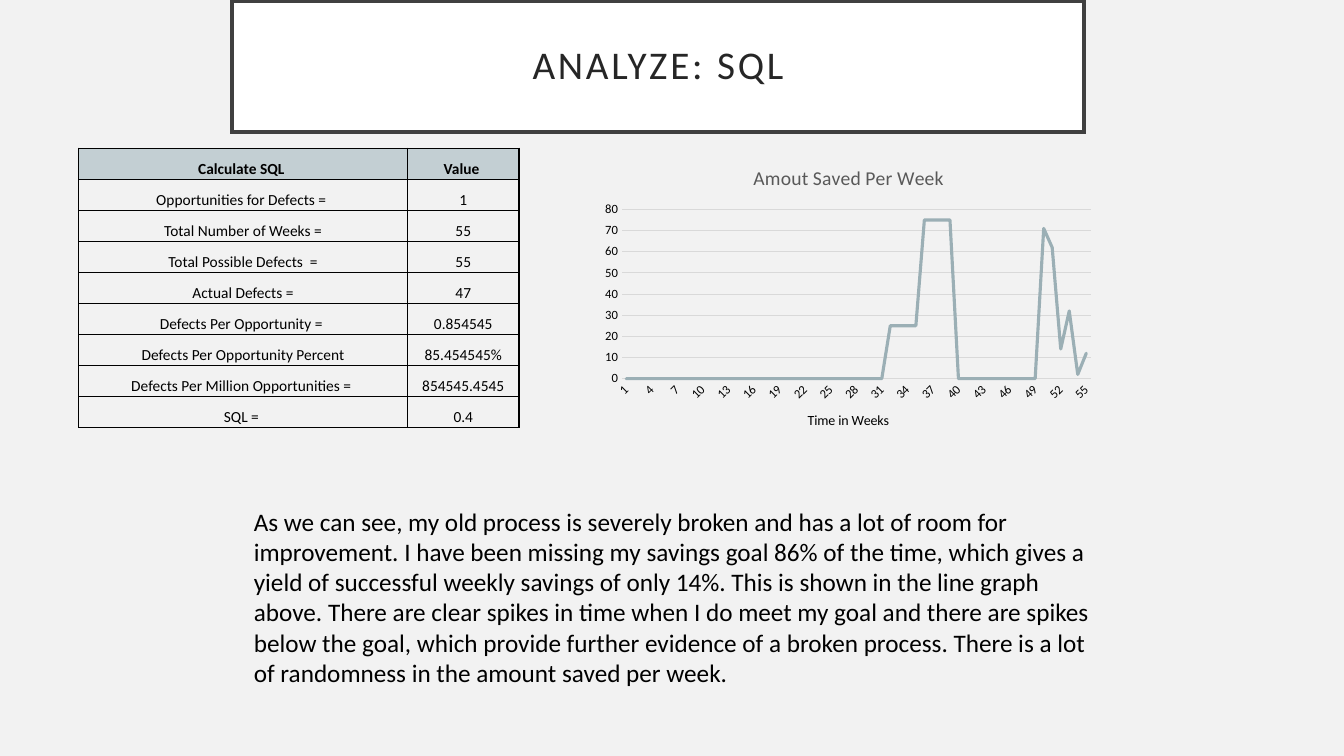
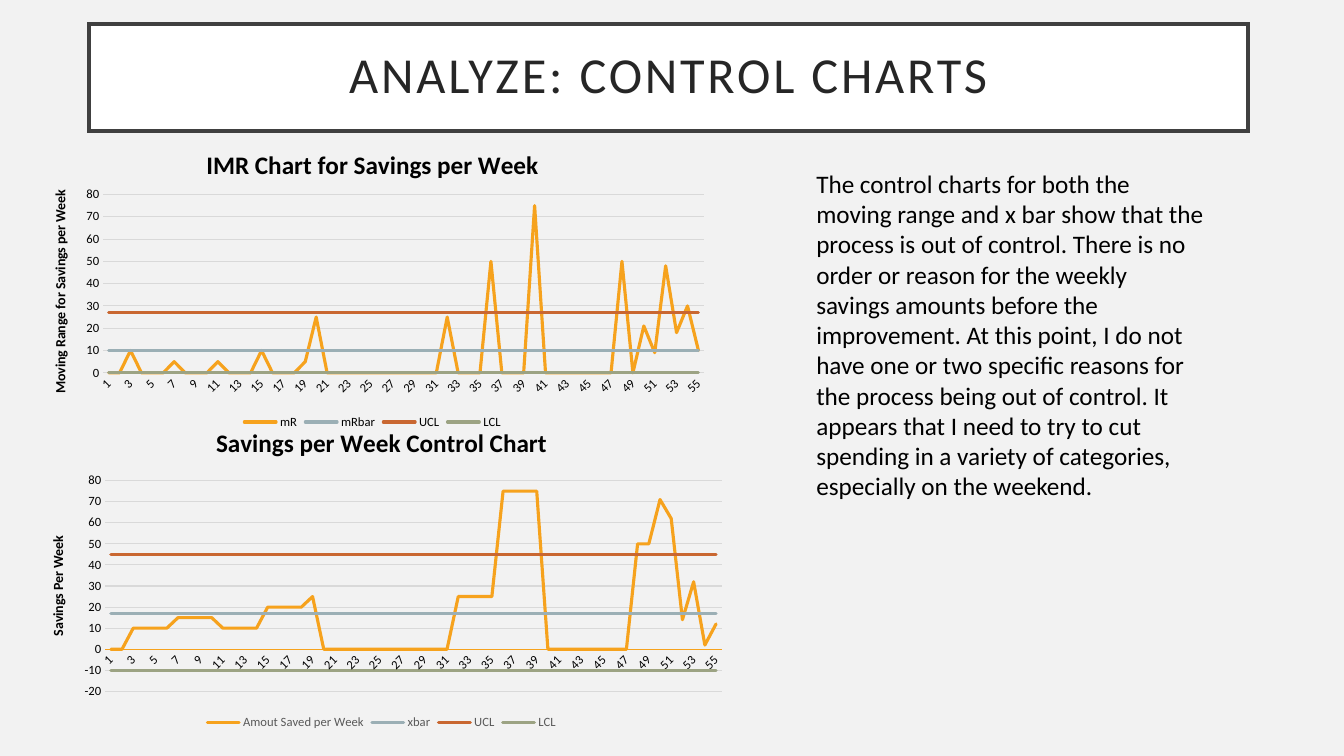
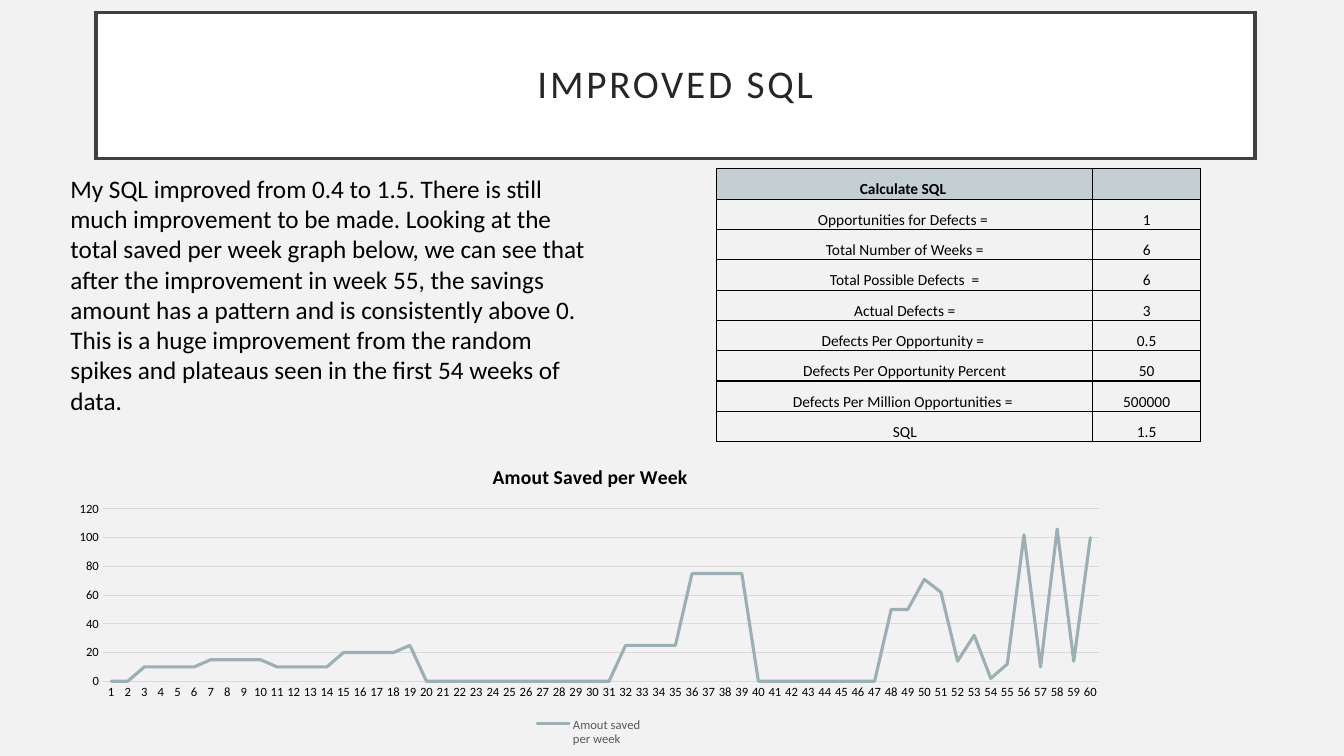
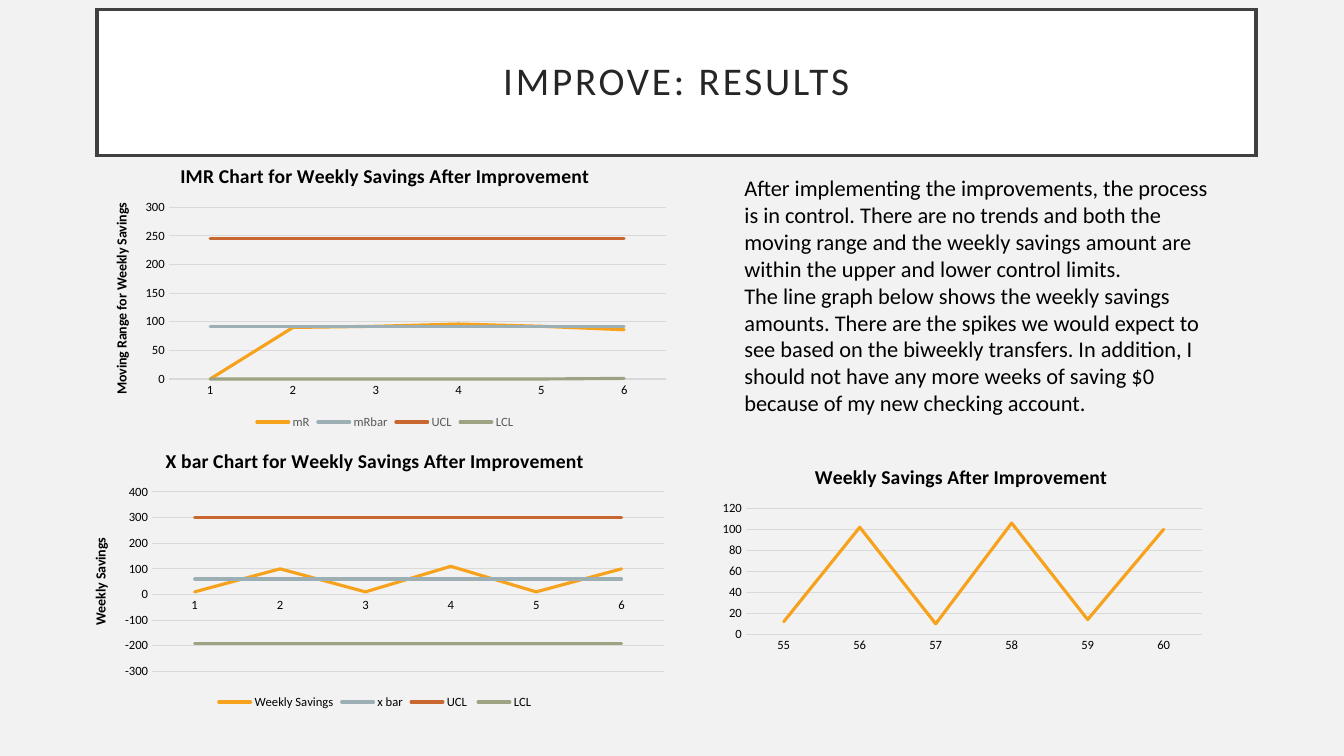
from itertools import pairwise

from lxml import etree
from pptx import Presentation
from pptx.chart.data import CategoryChartData
from pptx.dml.color import RGBColor
from pptx.enum.chart import XL_CHART_TYPE, XL_LEGEND_POSITION, XL_TICK_MARK
from pptx.enum.text import MSO_ANCHOR, PP_ALIGN
from pptx.oxml import parse_xml
from pptx.oxml.ns import nsdecls, qn
from pptx.util import Inches, Pt

LINE, BOTTOM = XL_CHART_TYPE.LINE, XL_LEGEND_POSITION.BOTTOM
NO_TICK = XL_TICK_MARK.NONE
CENTER = PP_ALIGN.CENTER
MIDDLE, CELL_BOTTOM = MSO_ANCHOR.MIDDLE, MSO_ANCHOR.BOTTOM

THEME = {
    "font": "Calibri",
    "page": "F2F2F2", "white": "FFFFFF", "black": "000000",
    "title": "262626", "frame": "404040", "muted": "595959",
    "grid": "D9D9D9", "header": "C3CFD3",
    "orange": "F6A21D", "steel": "9BAFB5", "rust": "C96731", "sage": "9CA383",
    "title_pt": 28, "body_pt": 18, "cell_pt": 11,
    "chart_title_pt": 14, "axis_title_pt": 10, "tick_pt": 9,
}
LIMIT_COLORS = ("orange", "steel", "rust", "sage")

prs = Presentation()
prs.slide_width, prs.slide_height = Inches(13.333), Inches(7.5)


def box(left, top, width, height):
    """Turn percentages of the slide into lengths."""
    w, h = prs.slide_width / 100, prs.slide_height / 100
    return round(left * w), round(top * h), round(width * w), round(height * h)


def style(font, size, color="black", bold=False):
    font.name, font.size, font.bold = THEME["font"], Pt(size), bold
    font.color.rgb = RGBColor.from_string(THEME[color])


# Weekly savings, and the moving ranges that follow from them
recent = [71, 62, 14, 32, 2, 12]
plateaus = [25] * 4 + [75] * 4
before = ([0] * 2 + [10] * 4 + [15] * 4 + [10] * 4 + [20] * 4 + [25] + [0] * 12
          + plateaus + [0] * 8 + [50] * 2 + recent)
goal_weeks = [0] * 31 + plateaus + [0] * 10 + recent
after = [12, 102, 10, 106, 14, 100]
after_rounded = [round(value, -1) for value in after]
range_before = [0] + [abs(b - a) for a, b in pairwise(before)]
range_after = [0] + [abs(b - a) for a, b in pairwise(after)]

row_labels = ["Opportunities for Defects = ", "Total Number of Weeks =",
              "Total Possible Defects  =", "Actual Defects =",
              "Defects Per Opportunity = ", "Defects Per Opportunity Percent",
              "Defects Per Million Opportunities = "]

# Slide contents; every "at" is left, top, width, height in % of the slide,
# every "plot" is the same in shares of its chart
slides = [
    {
        "title": "ANALYZE: SQL", "at": (17.28, 0.13, 63.38, 17.33),
        "table": {
            "at": (5.85, 19.6, 32.77, 36.93), "label_width": 24.48,
            "labels": ["Calculate SQL "] + row_labels + ["SQL = "],
            "values": ["Value ", "1", "55", "55", "47", "0.854545",
                       "85.454545%", "854545.4545", "0.4"]},
        "text": {
            "at": (18.15, 66.27, 63.68, 25.6),
            "paragraphs": [
                "As we can see, my old process is severely broken and has a lot of room for "
                "improvement. I have been missing my savings goal 86% of the time, which gives "
                "a yield of successful weekly savings of only 14%. This is shown in the line "
                "graph above. There are clear spikes in time when I do meet my goal and there "
                "are spikes below the goal, which provide further evidence of a broken process. "
                "There is a lot of randomness in the amount saved per week."]},
        "charts": [
            {"title": "Amout Saved Per Week", "title_color": "muted", "title_bold": False,
             "at": (44.4, 19.7, 37.5, 40), "plot": (0.05, 0.2, 0.93, 0.56),
             "x_title": "Time in Weeks", "slanted": True, "colors": ["steel"],
             "series": {"Amout Saved Per Week": goal_weeks}}],
    },
    {
        "title": "ANALYZE: CONTROL CHARTS", "at": (6.63, 3.2, 86.25, 14.13), "title_pt": 36,
        "text": {
            "at": (60, 21.6, 30.38, 45.73),
            "paragraphs": [
                "The control charts for both the moving range and x bar show that the process "
                "is out of control. There is no order or reason for the weekly savings amounts "
                "before the improvement. At this point, I do not have one or two specific "
                "reasons for the process being out of control. It appears that I need to try "
                "to cut spending in a variety of categories, especially on the weekend."]},
        "charts": [
            {"title": "Savings per Week Control Chart", "title_pt": 18,
             "at": (2.03, 54.13, 52.73, 42.93), "plot": (0.11, 0.22, 0.87, 0.65),
             "y_title": "Savings Per Week", "slanted": True, "axis_color": "orange",
             "legend": "muted",
             "series": {"Amout Saved per Week": before, "xbar": [17] * 55,
                        "UCL": [45] * 55, "LCL": [-10] * 55}},
            {"title": "IMR Chart for Savings per Week", "title_pt": 18,
             "at": (2.03, 17.33, 51.38, 40), "plot": (0.11, 0.21, 0.87, 0.59),
             "y_title": "Moving Range for Savings per Week", "slanted": True,
             "legend": "black",
             "series": {"mR": range_before, "mRbar": [10] * 55,
                        "UCL": [27] * 55, "LCL": [0] * 55}}],
    },
    {
        "title": "IMPROVED SQL", "at": (7.13, 1.63, 86.25, 19.33),
        "table": {
            "at": (53.33, 22.27, 36, 36.13), "label_width": 27.98,
            "labels": ["Calculate SQL "] + row_labels + ["SQL"],
            "values": ["", "1", "6", "6", "3", "0.5", "50", "500000", "1.5"]},
        "text": {
            "at": (4.5, 22.27, 40.73, 33.6),
            "paragraphs": [
                "My SQL improved from 0.4 to 1.5. There is still much improvement to be made. "
                "Looking at the total saved per week graph below, we can see that after the "
                "improvement in week 55, the savings amount has a pattern and is consistently "
                "above 0. This is a huge improvement from the random spikes and plateaus seen "
                "in the first 54 weeks of data."]},
        "charts": [
            {"title": "Amout Saved per Week",
             "at": (4.5, 59.33, 78.83, 40), "plot": (0.04, 0.2, 0.94, 0.57),
             "legend": "muted", "colors": ["steel"],
             "series": {"Amout saved \nper week": before + after[1:]}}],
    },
    {
        "title": "IMPROVE: RESULTS", "at": (7.2, 1.25, 86.25, 19.33),
        "text": {
            "at": (54.65, 22.4, 36.15, 33.6), "size": 16,
            "paragraphs": [
                "After implementing the improvements, the process is in control. There are no "
                "trends and both the moving range and the weekly savings amount are within the "
                "upper and lower control limits.",
                "The line graph below shows the weekly savings amounts. There are the spikes we "
                "would expect to see based on the biweekly transfers. In addition, I should not "
                "have any more weeks of saving $0 because of my new checking account."]},
        "charts": [
            {"title": "IMR Chart for Weekly Savings After Improvement",
             "at": (6.9, 19.47, 43.5, 37.87), "plot": (0.13, 0.21, 0.85, 0.6),
             "y_title": "Moving Range for Weekly Savings", "legend": "muted",
             "series": {"mR": range_after, "mRbar": [92] * 6,
                        "UCL": [246] * 6, "LCL": [0] * 5 + [1]}},
            {"title": "X bar Chart for Weekly Savings After Improvement",
             "at": (5.48, 57.3, 44.85, 37.07), "plot": (0.13, 0.21, 0.85, 0.64),
             "y_title": "Weekly Savings", "legend": "black",
             "series": {"Weekly Savings": after_rounded, "x bar": [60] * 6,
                        "UCL ": [300] * 6, "LCL": [-190] * 6}},
            {"title": "Weekly Savings After Improvement",
             "at": (52.88, 59.6, 37.28, 27.33), "plot": (0.07, 0.28, 0.91, 0.61),
             "first_week": 55, "series": {"Series 1": after}}],
    },
]

# Shared background
fill = prs.slide_master.background.fill
fill.solid()
fill.fore_color.rgb = RGBColor.from_string(THEME["page"])

for content in slides:
    s = prs.slides.add_slide(prs.slide_layouts[5])

    # Framed title with square corners
    sp = s.shapes.title
    sp.left, sp.top, sp.width, sp.height = box(*content["at"])
    sp.fill.solid()
    sp.fill.fore_color.rgb = RGBColor.from_string(THEME["white"])
    sp.line.color.rgb = RGBColor.from_string(THEME["frame"])
    sp.line.width = Pt(2.5)
    ln = sp._element.spPr.find(qn("a:ln"))
    etree.SubElement(ln, qn("a:miter")).set("lim", "800000")
    tf = sp.text_frame
    tf.text = content["title"]
    tf.word_wrap, tf.vertical_anchor = True, MIDDLE
    tf.margin_left = tf.margin_right = tf.margin_top = tf.margin_bottom = Inches(0.2)
    p = tf.paragraphs[0]
    p.alignment, p.line_spacing = CENTER, 0.9
    r = p.runs[0]
    style(r.font, content.get("title_pt", THEME["title_pt"]), "title")
    r._r.get_or_add_rPr().set("spc", "200")

    # Table of the SQL calculation
    if "table" in content:
        spec = content["table"]
        left, top, width, height = box(*spec["at"])
        count = len(spec["labels"])
        table = s.shapes.add_table(count, 2, left, top, width, height).table
        table.first_row = table.horz_banding = False
        table.columns[0].width = round(prs.slide_width * spec["label_width"] / 100)
        table.columns[1].width = width - table.columns[0].width
        for row, texts in enumerate(zip(spec["labels"], spec["values"])):
            table.rows[row].height = height // count
            for col, text in enumerate(texts):
                cell = table.cell(row, col)
                cell.text = text
                cell.vertical_anchor = CELL_BOTTOM
                cell.margin_left = cell.margin_right = 0
                cell.margin_top = cell.margin_bottom = 0
                p = cell.text_frame.paragraphs[0]
                p.alignment = CENTER
                for r in p.runs:
                    style(r.font, THEME["cell_pt"], bold=row == 0)
                tc_pr = cell._tc.get_or_add_tcPr()
                for side in ("lnL", "lnR", "lnT", "lnB"):
                    tc_pr.append(parse_xml(
                        f'<a:{side} {nsdecls("a")} w="{Pt(1)}"><a:solidFill>'
                        f'<a:srgbClr val="{THEME["black"]}"/></a:solidFill></a:{side}>'))
                if row == 0:
                    cell.fill.solid()
                    cell.fill.fore_color.rgb = RGBColor.from_string(THEME["header"])
                else:
                    cell.fill.background()

    # Commentary
    spec = content["text"]
    tf = s.shapes.add_textbox(*box(*spec["at"])).text_frame
    tf.word_wrap = True
    tf.text = "\n".join(spec["paragraphs"])
    for p in tf.paragraphs:
        style(p.runs[0].font, spec.get("size", THEME["body_pt"]))

    # Line charts
    for spec in content["charts"]:
        data = CategoryChartData()
        weeks = len(next(iter(spec["series"].values())))
        first = spec.get("first_week", 1)
        data.categories = [str(first + i) for i in range(weeks)]
        for name, values in spec["series"].items():
            data.add_series(name, values)
        chart = s.shapes.add_chart(LINE, *box(*spec["at"]), data).chart
        style(chart.font, THEME["axis_title_pt"])

        chart.has_title = True
        tf = chart.chart_title.text_frame
        tf.text = spec["title"]
        style(tf.paragraphs[0].runs[0].font, spec.get("title_pt", THEME["chart_title_pt"]),
              spec.get("title_color", "black"), spec.get("title_bold", True))

        chart.has_legend = "legend" in spec
        if chart.has_legend:
            chart.legend.position = BOTTOM
            chart.legend.include_in_layout = False
            style(chart.legend.font, THEME["tick_pt"], spec["legend"])

        x_axis, y_axis = chart.category_axis, chart.value_axis
        for axis, key in ((x_axis, "x_title"), (y_axis, "y_title")):
            axis.major_tick_mark = axis.minor_tick_mark = NO_TICK
            style(axis.tick_labels.font, THEME["tick_pt"])
            axis.has_title = key in spec
            if axis.has_title:
                tf = axis.axis_title.text_frame
                tf.text = spec[key]
                style(tf.paragraphs[0].runs[0].font, THEME["axis_title_pt"],
                      bold=axis is y_axis)
                if axis is y_axis:
                    tf._txBody.find(qn("a:bodyPr")).set("rot", "-5400000")
        y_axis.format.line.fill.background()
        y_axis.has_major_gridlines = True
        for line, color in ((x_axis.format.line, spec.get("axis_color", "grid")),
                            (y_axis.major_gridlines.format.line, "grid")):
            line.color.rgb = RGBColor.from_string(THEME[color])
            line.width = Pt(0.75)
        if spec.get("slanted"):
            body = x_axis._element.find(qn("c:txPr")).find(qn("a:bodyPr"))
            body.set("rot", "-2700000")

        plot = chart.plots[0]
        plot.vary_by_categories = False
        for series, color in zip(plot.series, spec.get("colors", LIMIT_COLORS)):
            series.smooth = False
            series.format.line.color.rgb = RGBColor.from_string(THEME[color])
            series.format.line.width = Pt(2.25)
            ln = series._element.find(qn("c:spPr")).find(qn("a:ln"))
            ln.set("cap", "rnd")
            etree.SubElement(ln, qn("a:round"))

        # Inner plot area
        area = chart._chartSpace.find(qn("c:chart")).find(qn("c:plotArea"))
        for old in area.findall(qn("c:layout")):
            area.remove(old)
        layout = etree.Element(qn("c:layout"))
        manual = etree.SubElement(layout, qn("c:manualLayout"))
        settings = [("layoutTarget", "inner"), ("xMode", "edge"), ("yMode", "edge")]
        for tag, value in settings + list(zip("xywh", spec["plot"])):
            etree.SubElement(manual, qn(f"c:{tag}")).set("val", str(value))
        area.insert(0, layout)

prs.save("out.pptx")
